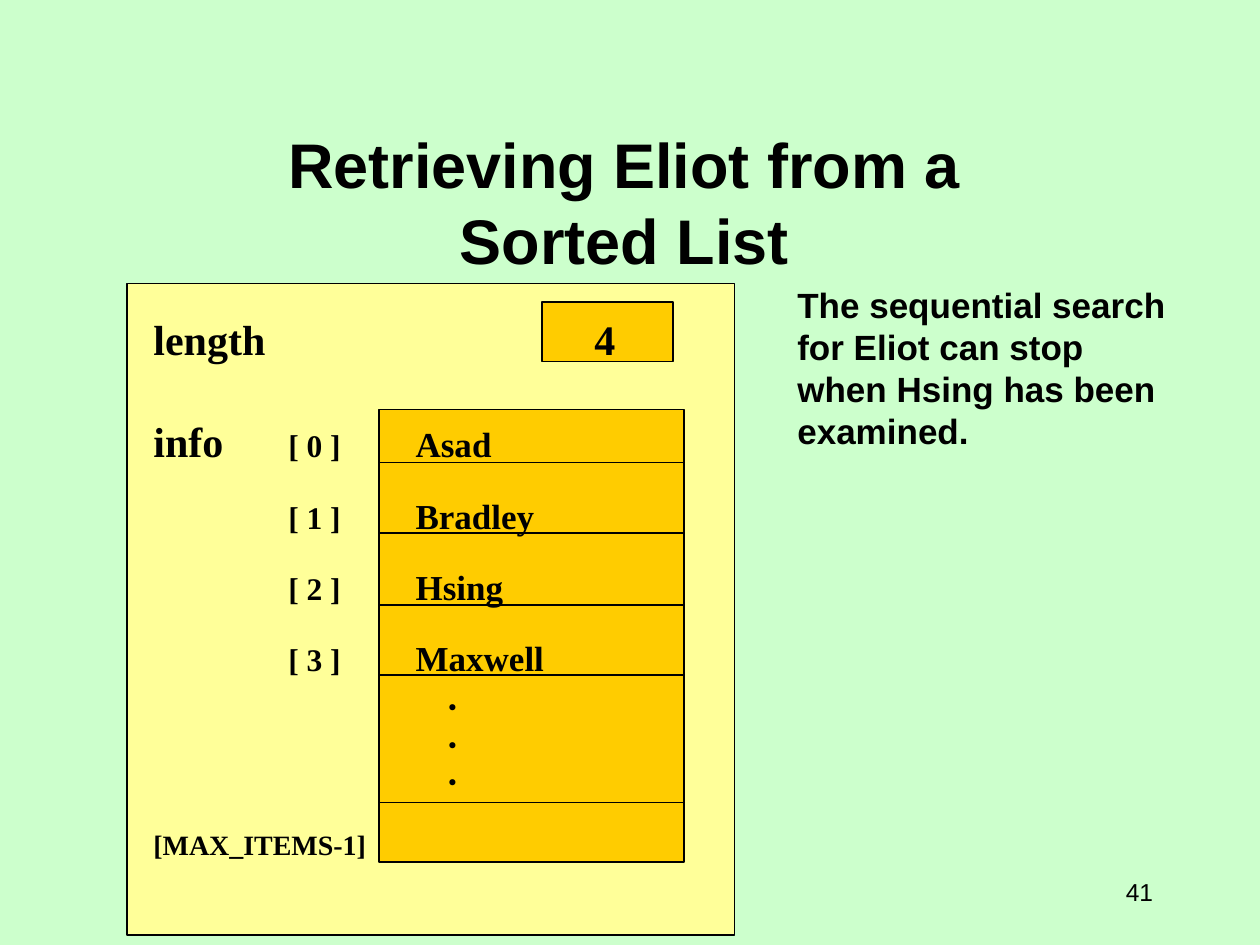
from lxml.etree import SubElement
from pptx import Presentation
from pptx.dml.color import RGBColor
from pptx.enum.shapes import MSO_CONNECTOR, MSO_SHAPE
from pptx.enum.text import MSO_ANCHOR, MSO_AUTO_SIZE, PP_ALIGN
from pptx.oxml.ns import qn
from pptx.util import Inches, Pt

BLACK = RGBColor(0x00, 0x00, 0x00)
MINT = RGBColor(0xCC, 0xFF, 0xCC)
PALE_YELLOW = RGBColor(0xFF, 0xFF, 0x99)
AMBER = RGBColor(0xFF, 0xCC, 0x00)
SANS, SERIF, DOT_FONT = "Arial", "Times New Roman", "Montserrat"


def add_run(paragraph, text, size, name, bold=True):
    run = paragraph.add_run()
    run.text = text
    for key, value in dict(size=Pt(size), name=name, bold=bold).items():
        setattr(run.font, key, value)
    run.font.color.rgb = BLACK


def add_text_area(left, top, width, height, wrap):
    area = slide.shapes.add_textbox(Inches(left), Inches(top), Inches(width), Inches(height))
    area.text_frame.word_wrap = wrap
    return area.text_frame


prs = Presentation()
prs.slide_width, prs.slide_height = Inches(10), Inches(7.5)
slide = prs.slides.add_slide(prs.slide_layouts[5])
slide.background.fill.solid()
slide.background.fill.fore_color.rgb = MINT

# Title
title = slide.shapes.title
title_place = dict(left=0.08, top=1.33, width=9.75, height=0.92)
for key, value in title_place.items():
    setattr(title, key, Inches(value))
title_format = dict(vertical_anchor=MSO_ANCHOR.BOTTOM, auto_size=MSO_AUTO_SIZE.NONE)
for key, value in title_format.items():
    setattr(title.text_frame, key, value)
heading = title.text_frame.paragraphs[0]
heading.alignment = PP_ALIGN.CENTER
add_run(heading, "Retrieving Eliot from a", 36, SANS)
heading.add_line_break()
add_run(heading, "Sorted List", 36, SANS)

# List object with its length cell and info array
for left, top, width, height, color in [
    (1.01, 2.25, 4.82, 5.17, PALE_YELLOW),
    (4.3, 2.4, 1.04, 0.47, AMBER),
    (3.01, 3.25, 2.42, 3.59, AMBER),
]:
    cell = slide.shapes.add_shape(
        MSO_SHAPE.RECTANGLE, Inches(left), Inches(top), Inches(width), Inches(height))
    cell.shadow.inherit = False
    cell.fill.solid()
    cell.fill.fore_color.rgb = color
    cell.line.color.rgb = BLACK
    cell.line.width = Pt(1)

# Dividers between array slots
for y in (3.67, 4.23, 4.8, 5.36, 6.37):
    divider = slide.shapes.add_connector(
        MSO_CONNECTOR.STRAIGHT, Inches(3), Inches(y), Inches(5.43), Inches(y))
    divider.line.color.rgb = BLACK
    divider.line.width = Pt(1)
    SubElement(divider._element.spPr, qn("a:effectLst"))

# Explanation beside the list
explanation = add_text_area(6.23, 2.2, 3.2, 1.43, wrap=False)
explanation_lines = ["The sequential search", "for Eliot can stop",
                     "when Hsing has been", "examined."]
for i, line in enumerate(explanation_lines):
    paragraph = explanation.paragraphs[0] if i == 0 else explanation.add_paragraph()
    add_run(paragraph, line, 20, SANS)

# Labels and values: space before, tab stops, runs of (text, size, font)
INDEX_TAB, NAME_TAB, DOT_TAB, LENGTH_TAB = 1.07, 2.08, 2.34, 3.5
rows = [
    (0, [LENGTH_TAB], [("length\t4", 24, SERIF)]),
    (29.5, [INDEX_TAB, NAME_TAB],
     [("info", 24, SERIF), ("\t[ 0 ]\t", 18, SERIF), ("Asad", 20, SERIF)]),
]
for i, name in enumerate(["Bradley", "Hsing", "Maxwell"], start=1):
    rows.append((16.5, [INDEX_TAB, NAME_TAB],
                 [(f"\t[ {i} ]\t", 18, SERIF), (name, 20, SERIF)]))
rows += [(0, [DOT_TAB], [("\t.", 18, DOT_FONT)])] * 3
rows.append((20.5, [], [("[MAX_ITEMS-1]", 16, SERIF)]))

contents = add_text_area(1.12, 2.44, 3.87, 4.7, wrap=True)
for i, (space, tabs, runs) in enumerate(rows):
    paragraph = contents.paragraphs[0] if i == 0 else contents.add_paragraph()
    paragraph.space_before = Pt(space)
    if tabs:
        tab_list = SubElement(paragraph._p.get_or_add_pPr(), qn("a:tabLst"))
        for position in tabs:
            SubElement(tab_list, qn("a:tab"), pos=str(Inches(position)), algn="l")
    for text, size, font in runs:
        add_run(paragraph, text, size, font)

# Slide number
number = add_text_area(8.58, 6.83, 0.67, 0.5, wrap=True)
number.vertical_anchor = MSO_ANCHOR.MIDDLE
number.paragraphs[0].alignment = PP_ALIGN.RIGHT
add_run(number.paragraphs[0], "41", 14, SANS, bold=False)

prs.save("out.pptx")
